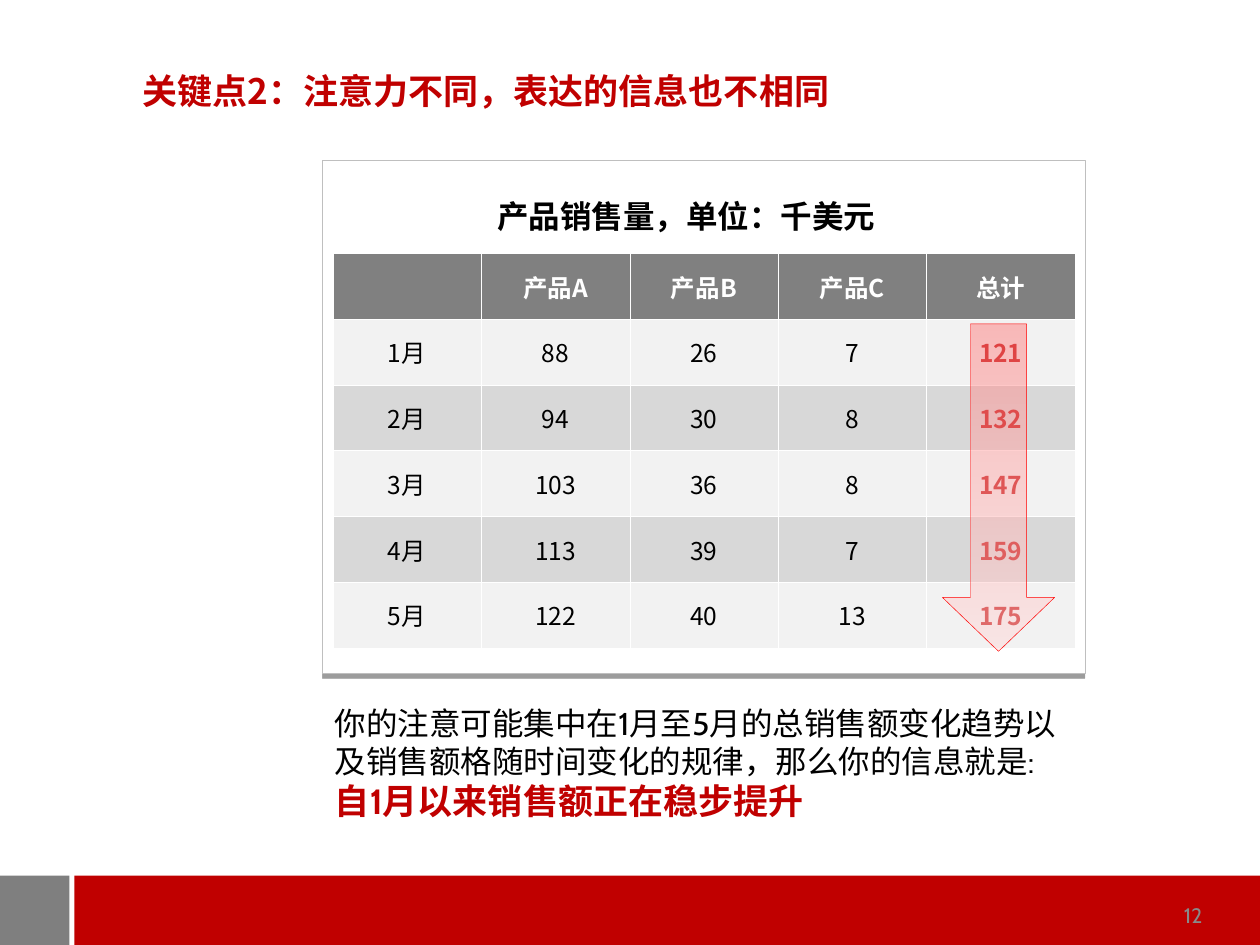
"""Build a slide that reads a rising trend from a monthly sales table."""
import pptx
import pptx.util
import pptx.dml.color
import pptx.enum.dml
import pptx.enum.shapes
import pptx.enum.text
import pptx.oxml
import pptx.oxml.ns

Cm, Pt = pptx.util.Cm, pptx.util.Pt
RGB = pptx.dml.color.RGBColor.from_string
SHAPE = pptx.enum.shapes.MSO_SHAPE
ALIGN = pptx.enum.text.PP_ALIGN
ANCHOR = pptx.enum.text.MSO_ANCHOR
qn = pptx.oxml.ns.qn

THEME = {
    "red": "C00000", "gray": "7F7F7F", "header": "808080", "white": "FFFFFF",
    "black": "000000", "number": "898989", "frame": "BFBFBF", "arrow_line": "FF0000",
    "bands": ["F2F2F2", "D8D8D8"], "arrow": ["FF8080", "FFDADA"],
    "latin": "Cabin", "cjk": "Noto Sans CJK SC",
    "title": 20, "body": 18, "cell": 14, "small": 12,
}

TITLE = "关键点2：注意力不同，表达的信息也不相同"
TABLE_TITLE = "产品销售量，单位：千美元"
HEADER = ["", "产品A", "产品B", "产品C", "总计"]
SALES = [
    ("1月", 88, 26, 7, 121),
    ("2月", 94, 30, 8, 132),
    ("3月", 103, 36, 8, 147),
    ("4月", 113, 39, 7, 159),
    ("5月", 122, 40, 13, 175),
]
COMMENT = "你的注意可能集中在1月至5月的总销售额变化趋势以及销售额格随时间变化的规律，那么你的信息就是:"
MESSAGE = "自1月以来销售额正在稳步提升"
PAGE = "12"

FOOTER_BARS = [((1.5, 17.65, 23.9, 1.4), "red"), ((0, 17.65, 1.4, 1.4), "gray")]
FRAME_BOX = (6.5, 3.23, 15.37, 10.34)
TABLE_BOX = (6.71, 5.11, 14.96, 7.95)
ARROW_BOX = (19, 6.53, 2.26, 6.6)
TITLE_BOX = (2.62, 1.27, 16.08, 1.12)
TABLE_TITLE_BOX = (8.97, 3.84, 9.73, 1.02)
COMMENT_BOX = (6.5, 14.07, 15.52, 2.64)
PAGE_BOX = (18.57, 17.93, 5.92, 1.02)

XML_NS = 'xmlns:a="http://schemas.openxmlformats.org/drawingml/2006/main"'
SHADOW = (f'<a:effectLst {XML_NS}><a:outerShdw blurRad="0" dist="38100" dir="5400000" '
          'algn="t" rotWithShape="0"><a:srgbClr val="000000"><a:alpha val="39000"/>'
          '</a:srgbClr></a:outerShdw></a:effectLst>')
BORDER = (f'<a:{{side}} {XML_NS} w="3175"><a:solidFill><a:srgbClr val="{THEME["white"]}"/>'
          '</a:solidFill></a:{side}>')
ALPHA = f'<a:alpha {XML_NS} val="50000"/>'


def lengths(box):
    return [Cm(v) for v in box]


def add_text(p, text, size, color="black", font="latin", bold=False, align=ALIGN.LEFT):
    p.alignment = align
    r = p.add_run()
    r.text = text
    for name, value in {"name": THEME[font], "size": Pt(THEME[size]), "bold": bold}.items():
        setattr(r.font, name, value)
    r.font.color.rgb = RGB(THEME[color])
    ea = pptx.oxml.parse_xml(f'<a:ea {XML_NS} typeface="{THEME["cjk"]}"/>')
    r.font._element.find(qn("a:latin")).addnext(ea)


def format_frame(tf, anchor=ANCHOR.TOP):
    values = {"word_wrap": True, "vertical_anchor": anchor,
              "auto_size": pptx.enum.text.MSO_AUTO_SIZE.NONE,
              "margin_left": Cm(0.25), "margin_right": Cm(0.25),
              "margin_top": Cm(0.13), "margin_bottom": Cm(0.13)}
    for name, value in values.items():
        setattr(tf, name, value)
    return tf


def add_box(slide, box, anchor=ANCHOR.TOP):
    return format_frame(slide.shapes.add_textbox(*lengths(box)).text_frame, anchor)


def add_rect(slide, box, fill, line=None):
    sp = slide.shapes.add_shape(SHAPE.RECTANGLE, *lengths(box))
    sp.shadow.inherit = False
    sp.fill.solid()
    sp.fill.fore_color.rgb = RGB(THEME[fill])
    if line:
        sp.line.color.rgb = RGB(THEME[line])
        sp.line.width = Pt(0.25)
    else:
        sp.line.fill.background()
    return sp


def add_frame(slide):
    spPr = add_rect(slide, FRAME_BOX, "white", "frame")._element.spPr
    spPr.replace(spPr.find(qn("a:effectLst")), pptx.oxml.parse_xml(SHADOW))


def add_sales_table(slide):
    rows = [HEADER] + SALES
    table = slide.shapes.add_table(len(rows), len(HEADER), *lengths(TABLE_BOX)).table
    for col in table.columns:
        col.width = Cm(TABLE_BOX[2] / len(HEADER))
    for row in table.rows:
        row.height = Cm(TABLE_BOX[3] / len(rows))
    margins = {"margin_left": Cm(0.03), "margin_right": Cm(0.03),
               "margin_top": Cm(0.13), "margin_bottom": Cm(0.13),
               "vertical_anchor": ANCHOR.MIDDLE}
    for i, row in enumerate(rows):
        for j, value in enumerate(row):
            cell = table.cell(i, j)
            for name, setting in margins.items():
                setattr(cell, name, setting)
            for side in ("lnL", "lnR", "lnT", "lnB"):
                cell._tc.get_or_add_tcPr().append(
                    pptx.oxml.parse_xml(BORDER.format(side=side)))
            cell.fill.solid()
            cell.fill.fore_color.rgb = RGB(
                THEME["bands"][(i - 1) % 2] if i else THEME["header"])
            total = j == len(row) - 1
            color = "white" if i == 0 else "red" if total else "black"
            if value != "":
                add_text(cell.text_frame.paragraphs[0], str(value), "cell", color,
                         "cjk", i == 0 or total, ALIGN.CENTER)


def add_trend_arrow(slide):
    sp = slide.shapes.add_shape(SHAPE.DOWN_ARROW, *lengths(ARROW_BOX))
    sp.shadow.inherit = False
    sp.adjustments[0], sp.adjustments[1] = 0.5, 0.48
    sp.fill.gradient()
    sp.fill.gradient_angle = 270
    for stop, color, position in zip(sp.fill.gradient_stops, THEME["arrow"], (0, 1)):
        stop.color.rgb = RGB(color)
        stop.position = position
    for clr in sp._element.spPr.find(qn("a:gradFill")).iter(qn("a:srgbClr")):
        clr.append(pptx.oxml.parse_xml(ALPHA))
    sp.line.color.rgb = RGB(THEME["arrow_line"])
    sp.line.width = Pt(0.25)


def main():
    prs = pptx.Presentation()
    prs.slide_width, prs.slide_height = Cm(25.4), Cm(19.05)
    slide = prs.slides.add_slide(prs.slide_layouts[5])

    title = slide.shapes.title
    for name, value in zip(("left", "top", "width", "height"), lengths(TITLE_BOX)):
        setattr(title, name, value)
    add_text(format_frame(title.text_frame).paragraphs[0], TITLE, "title", "red", "cjk", True)

    for box, color in FOOTER_BARS:
        add_rect(slide, box, color)
    add_frame(slide)
    add_sales_table(slide)
    add_text(add_box(slide, PAGE_BOX, ANCHOR.MIDDLE).paragraphs[0], PAGE, "small", "number",
             align=ALIGN.RIGHT)
    add_text(add_box(slide, TABLE_TITLE_BOX).paragraphs[0], TABLE_TITLE, "body",
             bold=True, align=ALIGN.CENTER)
    add_trend_arrow(slide)

    tf = add_box(slide, COMMENT_BOX)
    add_text(tf.paragraphs[0], COMMENT, "body")
    add_text(tf.add_paragraph(), MESSAGE, "title", "red", bold=True)
    prs.save("out.pptx")


if __name__ == "__main__":
    main()
